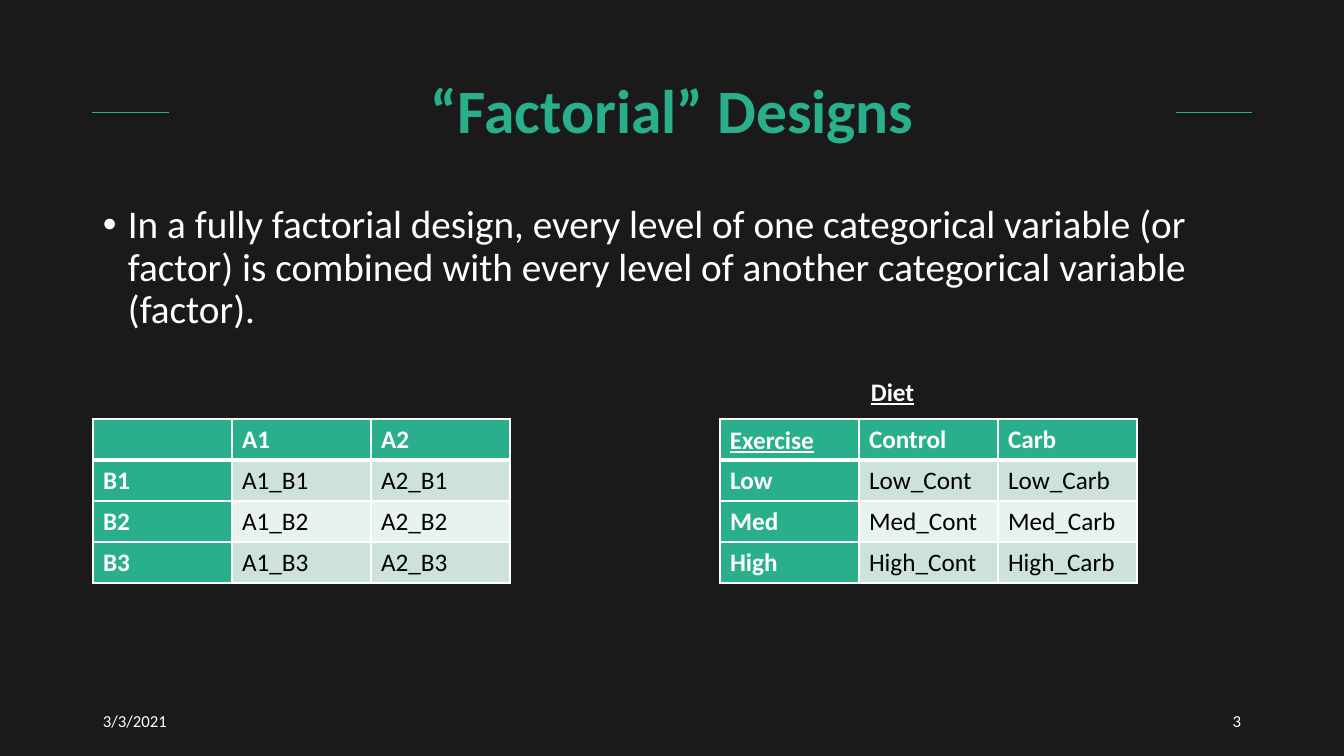
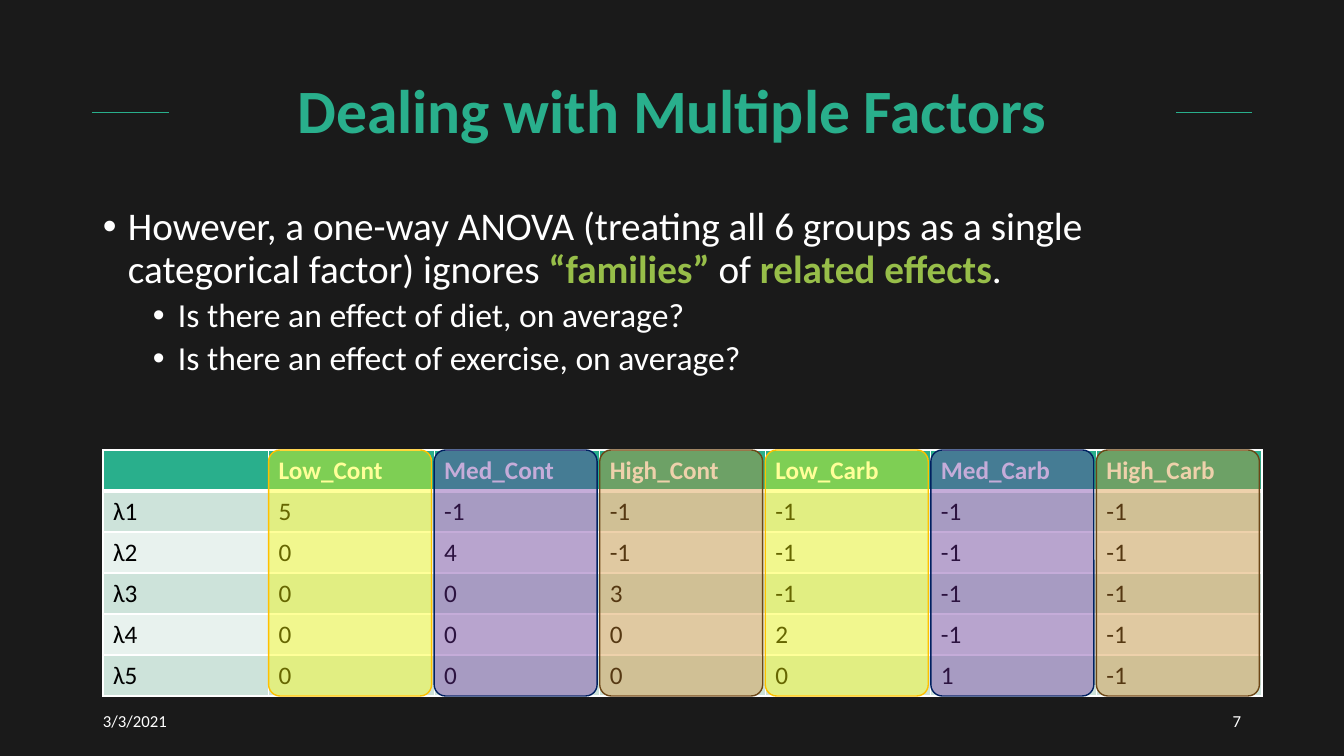
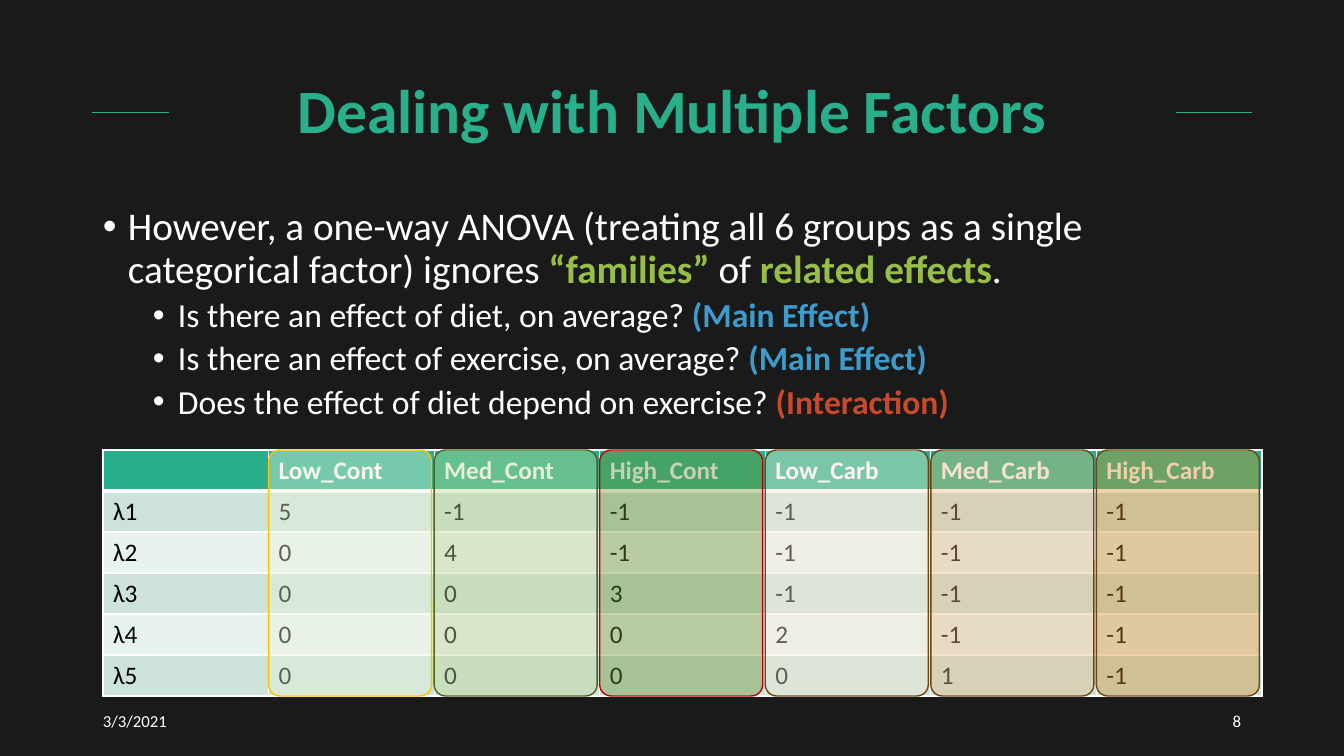
from dataclasses import dataclass

from lxml.etree import SubElement
from pptx import Presentation
from pptx.dml.color import RGBColor
from pptx.enum.shapes import MSO_CONNECTOR, MSO_SHAPE
from pptx.enum.text import MSO_ANCHOR, MSO_AUTO_SIZE, PP_ALIGN
from pptx.oxml.ns import qn
from pptx.util import Emu, Pt


@dataclass(frozen=True)
class Theme:
    font: str = "Calibri"
    background: str = "1A1A1A"
    accent: str = "29AF8C"
    text: str = "FFFFFF"
    cell_text: str = "000000"
    bands: tuple = ("CDE3DA", "E8F2EE")
    lime: str = "97BE49"
    blue: str = "3D9CCC"
    red: str = "C9492C"
    title_size: int = 44
    body_sizes: tuple = (28, 24)
    table_size: int = 18
    footer_size: int = 12


theme = Theme()
ROW_HEIGHT = 41


def px(length):
    """Turn pixels of a 1344 px wide slide into EMU."""
    return Emu(round(length * 12192000 / 1344))


def write(paragraph, spans, size):
    """Fill a paragraph with (text, colour, bold) spans."""
    for text, color, bold in spans:
        span = paragraph.add_run()
        span.text = text
        span.font.name = theme.font
        span.font.size = Pt(size)
        span.font.bold = bold
        span.font.color.rgb = RGBColor.from_string(color)


# Body text: (level, spans)
definition = [(0, [(
    "In a fully factorial design, every level of one categorical variable (or factor) is "
    "combined with every level of another categorical variable (factor).", theme.text, False)])]
families = (0, [
    ("However, a one-way ANOVA (treating all 6 groups as a single categorical factor) ignores ",
     theme.text, False),
    ("“families”", theme.lime, True),
    (" of ", theme.text, False),
    ("related effects", theme.lime, True),
    (".", theme.text, False)])
diet = "Is there an effect of diet, on average?"
exercise = "Is there an effect of exercise, on average?"
interaction = "Does the effect of diet depend on exercise?"
questions = [families] + [(1, [(text, theme.text, False)]) for text in (diet, exercise)]
answers = [families] + [
    (1, [(text + " ", theme.text, False), (answer, color, True)])
    for text, answer, color in (
        (diet, "(Main Effect)", theme.blue),
        (exercise, "(Main Effect)", theme.blue),
        (interaction, "(Interaction)", theme.red))]

# Table contents
letter_rows = [["", "A1", "A2"]] + [[b, f"A1_{b}", f"A2_{b}"] for b in ("B1", "B2", "B3")]
levels = ("Low", "Med", "High")
diet_rows = [["", "Control", "Carb"]] + [[e, f"{e}_Cont", f"{e}_Carb"] for e in levels]
groups = [f"{level}_{food}" for food in ("Cont", "Carb") for level in levels]
contrast_rows = [[""] + groups]
for i in range(5):
    contrast_rows.append([f"λ{i + 1}"] + ["0"] * i + [str(5 - i)] + ["-1"] * (5 - i))

# Tables: left, top, width, first column as header, rows
design_tables = [(93, 419, 417, True, letter_rows), (720, 419, 417, True, diet_rows)]
contrast_tables = [(103, 450, 1159, False, contrast_rows)]

# Column highlights: fill, line
family_colors = [("FFFF00", "FFC000"), ("7030A0", "002060"), ("D58C2E", "6C4616")] * 2
effect_colors = [("EAF2DB", "FFC000"), ("C1D892", "4C6123"), ("729134", "C00000"),
                 ("F7E8D5", "6C4616"), ("E6BA82", "6C4616"), ("D58C2E", "6C4616")]

# Factor labels: text, left, top, width
factor_labels = [("Exercise", 720, 419, 105), ("Diet", 861, 371, 64)]

# Slides: title, number, body top, body, tables, highlights, labels
pages = [
    ("“Factorial” Designs", "3", 200, definition, design_tables, [], factor_labels),
    ("Dealing with Multiple Factors", "7", 202, questions, contrast_tables, family_colors, []),
    ("Dealing with Multiple Factors", "8", 202, answers, contrast_tables, effect_colors, []),
]

deck = Presentation()
deck.slide_width, deck.slide_height = px(1344), px(756)
master_fill = deck.slide_master.background.fill
master_fill.solid()
master_fill.fore_color.rgb = RGBColor.from_string(theme.background)

for title_text, number, body_top, body, tables, highlights, labels in pages:
    page = deck.slides.add_slide(deck.slide_layouts[5])

    # Title
    title = page.shapes.title
    title.left, title.top, title.width, title.height = px(169), px(41), px(1007), px(146)
    title.fill.solid()
    title.fill.fore_color.rgb = RGBColor.from_string(theme.background)
    title.text_frame.auto_size = MSO_AUTO_SIZE.NONE
    title.text_frame.vertical_anchor = MSO_ANCHOR.MIDDLE
    heading = title.text_frame.paragraphs[0]
    heading.alignment = PP_ALIGN.CENTER
    heading.line_spacing = 0.9
    write(heading, [(title_text, theme.accent, True)], theme.title_size)

    # Rule behind the title
    rule = page.shapes.add_connector(MSO_CONNECTOR.STRAIGHT, px(92), px(112), px(1252), px(112))
    rule.line.color.rgb = RGBColor.from_string(theme.accent)
    rule.line.width = Pt(0.5)
    SubElement(rule._element.spPr, qn("a:effectLst"))
    title._element.addprevious(rule._element)

    # Bulleted body
    box = page.shapes.add_textbox(px(93), px(body_top), px(1159), px(480))
    box.text_frame.word_wrap = True
    for i, (level, spans) in enumerate(body):
        para = box.text_frame.paragraphs[0] if i == 0 else box.text_frame.add_paragraph()
        properties = para._p.get_or_add_pPr()
        properties.set("marL", str(px(25 + 50 * level)))
        properties.set("indent", str(px(-25)))
        SubElement(properties, qn("a:buFont"), typeface="Arial")
        SubElement(properties, qn("a:buChar"), char="•")
        para.level = level
        para.line_spacing = 0.9
        para.space_before = Pt(5 if i else 0)
        write(para, spans, theme.body_sizes[level])

    # Date and slide number
    for text, left, alignment in (("3/3/2021", 93, PP_ALIGN.LEFT), (number, 949, PP_ALIGN.RIGHT)):
        box = page.shapes.add_textbox(px(left), px(701), px(302), px(40))
        box.text_frame.word_wrap = True
        box.text_frame.vertical_anchor = MSO_ANCHOR.MIDDLE
        para = box.text_frame.paragraphs[0]
        para.alignment = alignment
        write(para, [(text, theme.text, False)], theme.footer_size)

    # Tables
    for left, top, width, header_column, rows in tables:
        column_width = width / len(rows[0])
        height = ROW_HEIGHT * len(rows)
        table = page.shapes.add_table(
            len(rows), len(rows[0]), px(left), px(top), px(width), px(height)).table
        for column in table.columns:
            column.width = px(column_width)
        for r, row in enumerate(rows):
            table.rows[r].height = px(ROW_HEIGHT)
            for c, text in enumerate(row):
                cell = table.cell(r, c)
                is_header = r == 0 or (header_column and c == 0)
                for edge in ("lnL", "lnR", "lnT", "lnB"):
                    thick = (edge, r) in (("lnB", 0), ("lnT", 1))
                    border = SubElement(cell._tc.get_or_add_tcPr(), qn(f"a:{edge}"),
                                        w=str(Pt(3 if thick else 1)))
                    SubElement(SubElement(border, qn("a:solidFill")), qn("a:srgbClr"),
                               val=theme.text)
                cell.fill.solid()
                cell.fill.fore_color.rgb = RGBColor.from_string(
                    theme.accent if is_header else theme.bands[(r - 1) % 2])
                if text:
                    color = theme.text if is_header else theme.cell_text
                    write(cell.text_frame.paragraphs[0], [(text, color, is_header)],
                          theme.table_size)

        # Translucent frames over the group columns
        for i, (fill_color, line_color) in enumerate(highlights, start=1):
            frame = page.shapes.add_shape(
                MSO_SHAPE.ROUNDED_RECTANGLE, px(left + i * column_width), px(top),
                px(163), px(height))
            frame.adjustments[0] = 0.07
            frame.shadow.inherit = False
            frame.fill.solid()
            frame.fill.fore_color.rgb = RGBColor.from_string(fill_color)
            tint = frame._element.spPr.find(qn("a:solidFill")).find(qn("a:srgbClr"))
            SubElement(tint, qn("a:alpha"), val="40000")
            frame.line.color.rgb = RGBColor.from_string(line_color)
            frame.line.width = Pt(1)

    # Factor labels, each growing with its single line
    for text, left, top, width in labels:
        box = page.shapes.add_textbox(px(left), px(top), px(width), px(40))
        box.text_frame.word_wrap = False
        box.text_frame.auto_size = MSO_AUTO_SIZE.SHAPE_TO_FIT_TEXT
        para = box.text_frame.paragraphs[0]
        write(para, [(text, theme.text, True)], theme.table_size)
        para.runs[0].font.underline = True

deck.save("out.pptx")
